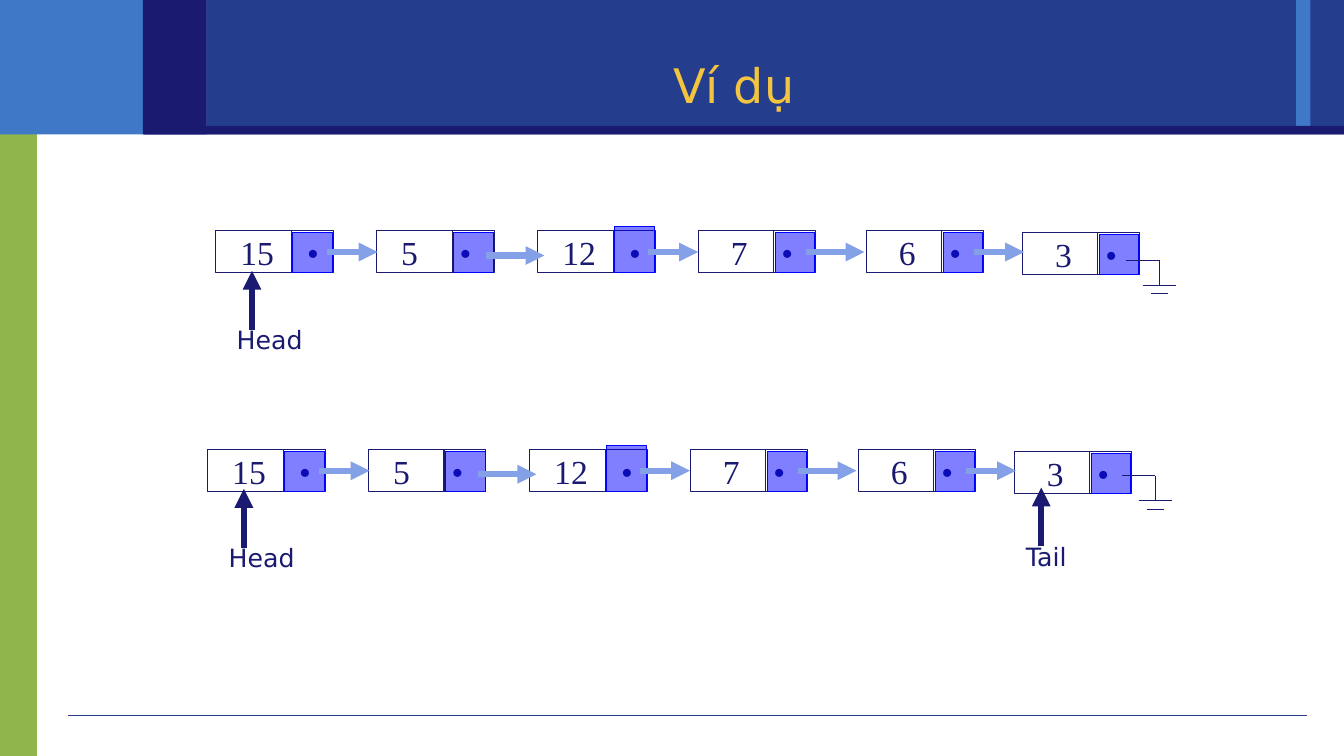
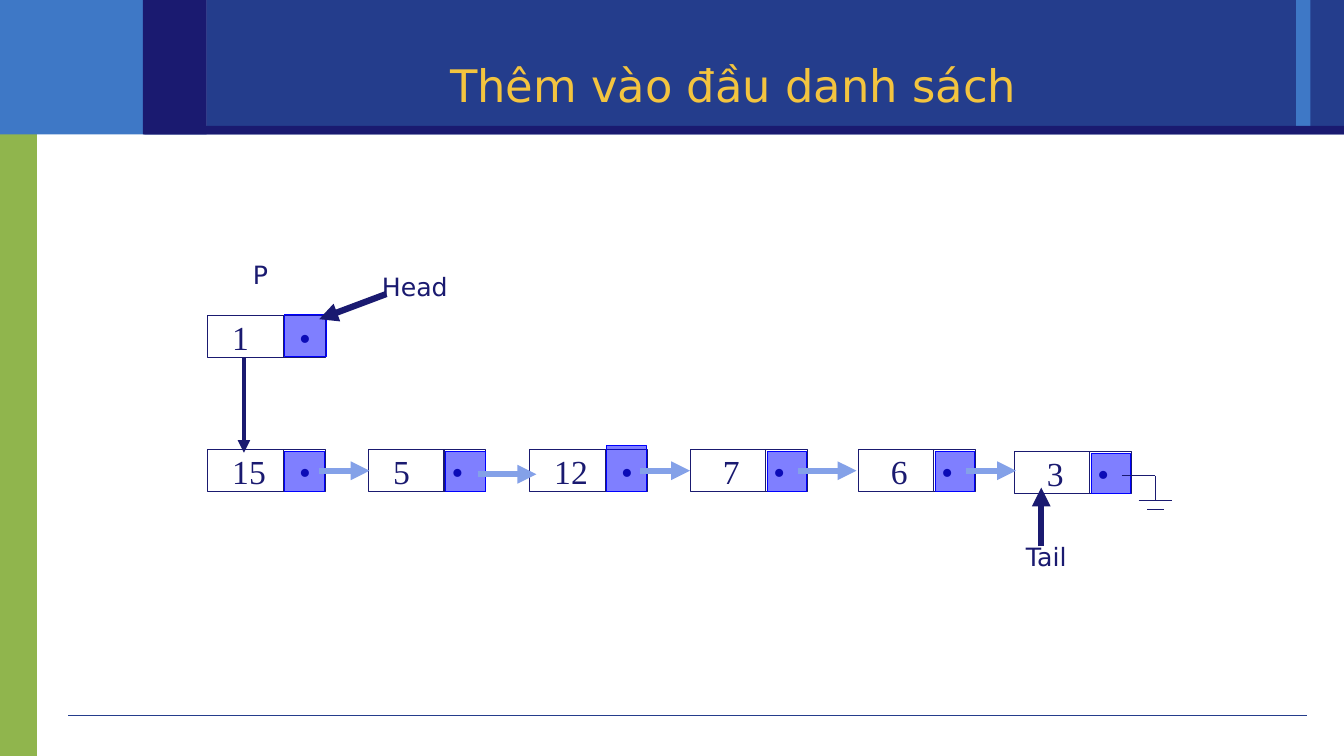
"""Builds two slides that show linked lists and inserting at the head."""
from dataclasses import dataclass
from typing import Optional

from lxml.etree import SubElement
from pptx import Presentation
from pptx.dml.color import RGBColor
from pptx.enum.shapes import MSO_CONNECTOR, MSO_SHAPE
from pptx.enum.text import MSO_ANCHOR, PP_ALIGN
from pptx.oxml.ns import qn
from pptx.util import Inches, Pt

COLUMNS, ROWS = 80, 45
CELL = Inches(1) / 6

WHITE = RGBColor(0xFF, 0xFF, 0xFF)
NAVY = RGBColor(0x1A, 0x1A, 0x70)
ROYAL = RGBColor(0x24, 0x3D, 0x8C)
SKY = RGBColor(0x3E, 0x78, 0xC6)
GREEN = RGBColor(0x90, 0xB5, 0x4D)
GOLD = RGBColor(0xF3, 0xC4, 0x3F)
BLUE = RGBColor(0x00, 0x00, 0xFF)
LINK = RGBColor(0x84, 0xA1, 0xE8)

SANS, SERIF = "DejaVu Sans", "Times New Roman"
HAIRLINE, THIN, MEDIUM, THICK = 0.25, 0.75, 3, 4.5

BANDS = [
    (0, 6.4, 2.2, 38.6, GREEN),
    (0, 0, 12.3, 8, SKY),
    (12.3, 0, 67.7, 8, ROYAL),
    (77.15, 0, 0.85, 7.5, SKY),
    (8.6, 7.5, 71.4, 0.5, NAVY),
    (8.5, 0, 3.8, 8, NAVY),
]
GROUND = [(0, 0, 2, 0), (2, 0, 2, 1.5), (1, 1.5, 3, 1.5), (1.5, 2, 2.5, 2)]


@dataclass
class Node:
    """A list node; link holds start, length and height of its arrow."""
    value: str
    x: float = 0
    y: float = 0
    indent: float = 1.57
    dot: float = 5.55
    pointer: tuple = (0.13, 2.35, 2.35)
    link: Optional[tuple] = None


NODES = [
    Node("15", link=(6.65, 3, 1.27)),
    Node("5", 9.58, dot=5.05, link=(6.5, 3.5, 1.48)),
    Node("12", 19.17, pointer=(-0.22, 2.35, 2.7), link=(6.55, 3, 1.27)),
    Node("7", 28.73, indent=2.05, dot=5.05, link=(6.4, 3.5, 1.27)),
    Node("6", 38.73, indent=2.05, dot=5.05, link=(6.4, 3, 1.27)),
    Node("3", 48.02, 0.12, indent=2.05, dot=5.05),
]
NEW_NODE = Node("1", pointer=(-0.05, 2.5, 2.5))


def cells(*counts):
    """Turn grid cells into slide lengths."""
    return [round(count * CELL) for count in counts]


def add_box(slide, x, y, width, height, fill=None, outline=None, opacity=None):
    """Add a rectangle with an optional fill, outline and opacity."""
    box = slide.shapes.add_shape(MSO_SHAPE.RECTANGLE, *cells(x, y, width, height))
    box.shadow.inherit = False
    if fill is None:
        box.fill.background()
    else:
        box.fill.solid()
        box.fill.fore_color.rgb = fill
    if opacity is not None:
        color = box.fill._xPr.find(qn("a:solidFill"))[0]
        SubElement(color, qn("a:alpha"), val=str(opacity * 1000))
    if outline is None:
        box.line.fill.background()
    else:
        box.line.color.rgb = outline
        box.line.width = Pt(THIN)


def add_line(slide, start, end, color=NAVY, width=THIN, arrow=False):
    """Add a straight line, with an arrowhead at its end if wanted."""
    line = slide.shapes.add_connector(MSO_CONNECTOR.STRAIGHT, *cells(*start, *end))
    line.line.color.rgb = color
    line.line.width = Pt(width)
    if arrow:
        SubElement(line.line._get_or_add_ln(), qn("a:tailEnd"), type="triangle")
    SubElement(line._element.spPr, qn("a:effectLst"))


def add_text(slide, text, x, y, width, height, size=18, font=SANS, color=NAVY,
             indent=0.6, align=PP_ALIGN.LEFT, anchor=MSO_ANCHOR.TOP, tab=None):
    """Add one line of text, with an optional tab stop."""
    frame = slide.shapes.add_textbox(*cells(x, y, width, height)).text_frame
    frame.word_wrap = True
    frame.vertical_anchor = anchor
    frame.margin_left, frame.margin_right = cells(indent, 0)
    paragraph = frame.paragraphs[0]
    paragraph.alignment = align
    if tab is not None:
        stops = SubElement(paragraph._p.get_or_add_pPr(), qn("a:tabLst"))
        SubElement(stops, qn("a:tab"), pos=str(cells(tab)[0]), algn="l")
    run = paragraph.add_run()
    run.text = text
    run.font.name = font
    run.font.size = Pt(size)
    run.font.color.rgb = color


def add_node(slide, node, left, top):
    """Draw a node as a value cell and a pointer cell."""
    x, y = left + node.x, top + node.y
    rise, width, height = node.pointer
    add_box(slide, x, y, 7, 2.5, outline=NAVY)
    add_line(slide, (x + 4.5, y), (x + 4.5, y + 2.5))
    add_text(slide, f"{node.value}\t•", x - 0.1, y - 0.22, 7.15, 3, 24, SERIF,
             indent=node.indent, tab=node.dot - node.indent)
    add_box(slide, x + 4.6, y + rise, width, height, BLUE, BLUE, 50)


def add_list(slide, left, top, ground):
    """Draw the chain of nodes, its links and the closing ground sign."""
    for node in NODES:
        add_node(slide, node, left, top)
    for node in NODES:
        if node.link:
            start, length, height = node.link
            x, y = left + node.x + start, top + height
            add_line(slide, (x, y), (x + length, y), LINK, THICK, True)
    x, y = ground
    for x1, y1, x2, y2 in GROUND:
        add_line(slide, (x + x1, y + y1), (x + x2, y + y2))


def add_label(slide, text, x, y):
    """Add the name of a pointer variable."""
    add_text(slide, text, x, y, 7, 2.4)


def add_marker(slide, text, x, y):
    """Add a label with an arrow that points up from it."""
    add_label(slide, text, x, y)
    add_line(slide, (x + 1.5, y + 0.6), (x + 1.5, y - 2.9), NAVY, THICK, True)


def add_slide(deck, title, size):
    """Add a slide with the shared bands, footer line and title."""
    slide = deck.slides.add_slide(deck.slide_layouts[6])
    slide.background.fill.solid()
    slide.background.fill.fore_color.rgb = WHITE
    for *place, color in BANDS:
        add_box(slide, *place, fill=color)
    add_line(slide, (4.05, 42.55), (77.8, 42.55), ROYAL, HAIRLINE)
    add_text(slide, title, 12, 3.05, 63.35, 3.95, size, color=GOLD, indent=0,
             align=PP_ALIGN.CENTER, anchor=MSO_ANCHOR.MIDDLE)
    return slide


def add_tailed_list(slide):
    """Draw the lower list, which also has a tail pointer."""
    add_list(slide, 12.35, 26.75, (66.78, 28.32))
    add_marker(slide, "Tail", 60.48, 31.92)


def add_example(deck):
    """Show a list with a head, and one with a head and a tail."""
    slide = add_slide(deck, "Ví dụ", 34)
    add_list(slide, 12.83, 13.73, (67.02, 15.48))
    add_marker(slide, "Head", 13.5, 19.02)
    add_tailed_list(slide)
    add_marker(slide, "Head", 13.02, 32)


def add_insertion(deck):
    """Show a new node that goes in front of the list."""
    slide = add_slide(deck, "Thêm vào đầu danh sách", 32)
    add_tailed_list(slide)
    add_node(slide, NEW_NODE, 12.35, 18.78)
    add_label(slide, "P", 14.46, 15.12)
    add_line(slide, (14.52, 21.3), (14.52, 26.95), NAVY, MEDIUM, True)
    add_line(slide, (23, 17.5), (19, 19), NAVY, THICK, True)
    add_label(slide, "Head", 22.14, 15.84)


def main():
    """Build the deck and save it."""
    deck = Presentation()
    deck.slide_width, deck.slide_height = cells(COLUMNS, ROWS)
    add_example(deck)
    add_insertion(deck)
    deck.save("out.pptx")


if __name__ == "__main__":
    main()
